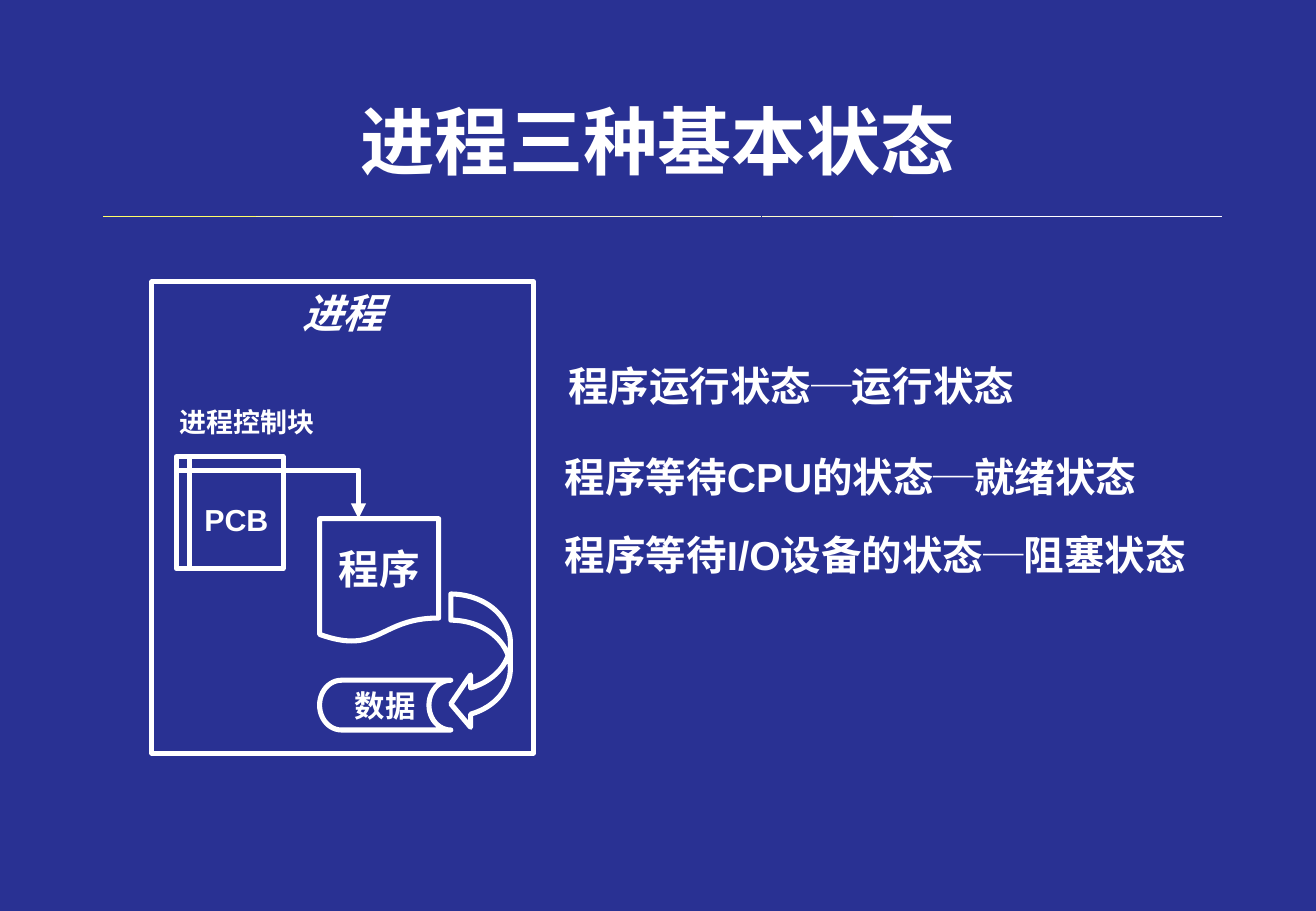
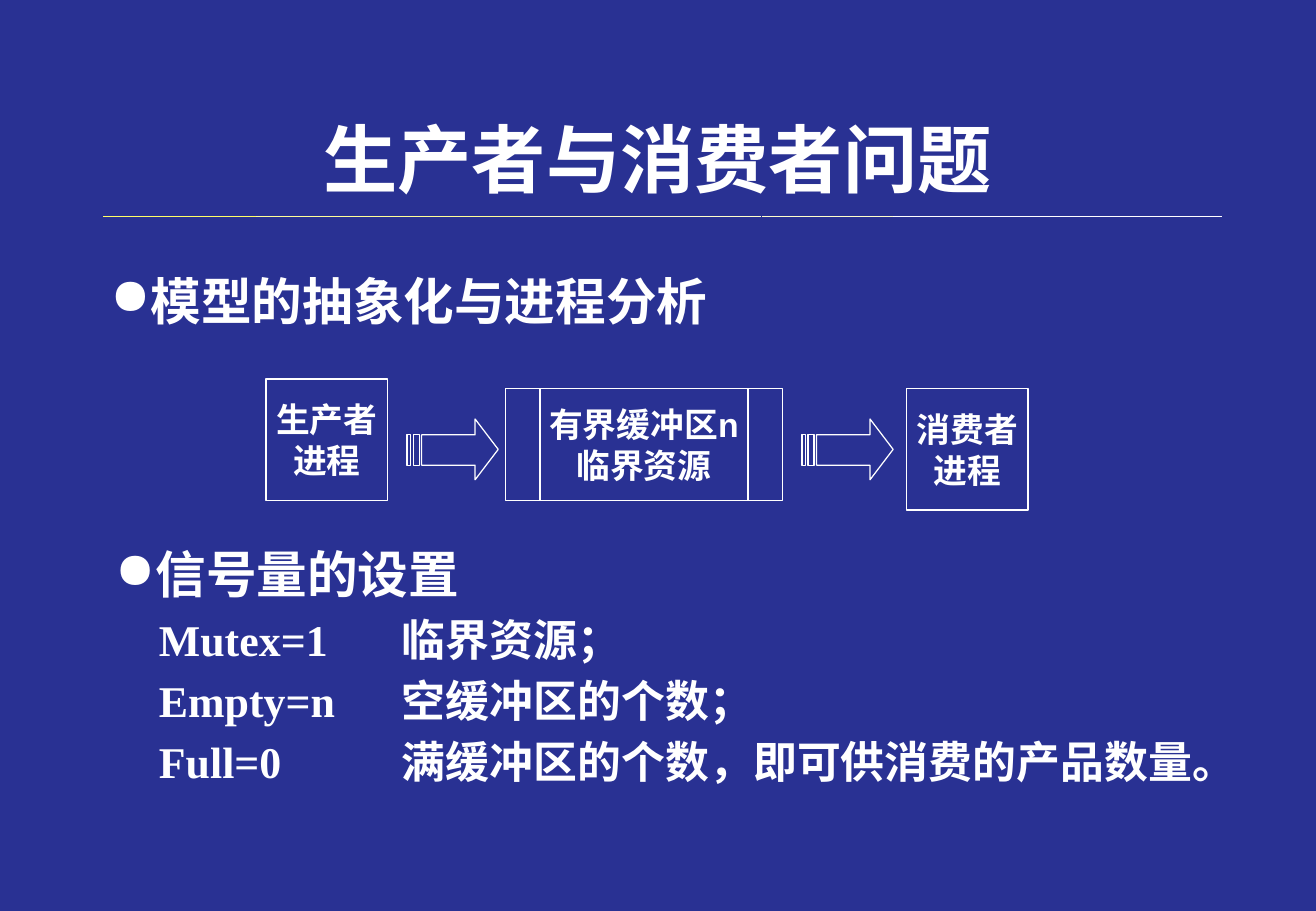
from pptx import Presentation
from pptx.dml.color import RGBColor
from pptx.enum.shapes import MSO_CONNECTOR, MSO_SHAPE
from pptx.enum.text import MSO_ANCHOR, PP_ALIGN
from pptx.oxml.ns import qn
from pptx.util import Inches, Pt
from lxml import etree

CENTER, LEFT = PP_ALIGN.CENTER, PP_ALIGN.LEFT
TOP, MIDDLE = MSO_ANCHOR.TOP, MSO_ANCHOR.MIDDLE
STRAIGHT = MSO_CONNECTOR.STRAIGHT
RECTANGLE = MSO_SHAPE.RECTANGLE
DOCUMENT = MSO_SHAPE.FLOWCHART_DOCUMENT
INTERNAL_STORAGE = MSO_SHAPE.FLOWCHART_INTERNAL_STORAGE
STORED_DATA = MSO_SHAPE.FLOWCHART_STORED_DATA
PREDEFINED_PROCESS = MSO_SHAPE.FLOWCHART_PREDEFINED_PROCESS
CURVED_ARROW = MSO_SHAPE.CURVED_LEFT_ARROW

BACKGROUND, WHITE = "293193", "FFFFFF"
CREAM, PALE_YELLOW, YELLOW = "FFFFCC", "FFFF99", "FFFF66"
BODY_FONT, TITLE_FONT, SERIF_FONT = "Arial", "Noto Sans CJK SC", "Times New Roman"
THIN, THICK = 0.75, 3

# Title rule: start, end and colour of each segment, from right to left
RULE_Y = 1.78
RULE_SEGMENTS = (
    [(9.52, 10.06, WHITE), (8.43, 9.52, WHITE), (7.35, 8.43, WHITE)]
    + [(start, start + 1.08, CREAM) for start in (6.27, 5.18, 4.1)]
    + [(start, start + 0.9, PALE_YELLOW) for start in (3.38, 2.84, 2.29, 1.75)]
    + [(1.21, 2.11, YELLOW), (0.85, 1.57, YELLOW)]
)


def color(hex_string):
    return RGBColor.from_string(hex_string)


def set_outline(shape, width):
    shape.shadow.inherit = False
    shape.fill.background()
    shape.line.color.rgb = color(WHITE)
    shape.line.width = Pt(width)


def add_bullet(paragraph):
    properties = paragraph._p.get_or_add_pPr()
    properties.set("marL", "0")
    properties.set("indent", "0")
    bullet_color = etree.SubElement(properties, qn("a:buClr"))
    etree.SubElement(bullet_color, qn("a:srgbClr"), val=WHITE)
    etree.SubElement(properties, qn("a:buChar"), char="●")


def add_tabs(paragraph, positions):
    tab_list = etree.SubElement(paragraph._p.get_or_add_pPr(), qn("a:tabLst"))
    for position in positions:
        etree.SubElement(tab_list, qn("a:tab"), pos=str(Inches(position)), algn="l")


def write_line(paragraph, text, size, font=BODY_FONT, align=LEFT, italic=None):
    paragraph.alignment = align
    run = paragraph.add_run()
    run.text = text
    run.font.name = font
    run.font.size = Pt(size)
    run.font.bold = True
    run.font.italic = italic
    run.font.color.rgb = color(WHITE)


def write_lines(frame, lines, size, font=BODY_FONT, align=LEFT, italic=None,
                spacing=None, before=0):
    for index, text in enumerate(lines):
        paragraph = frame.add_paragraph() if index else frame.paragraphs[0]
        if spacing:
            paragraph.line_spacing = spacing
        if index and before:
            paragraph.space_before = Pt(before)
        write_line(paragraph, text, size, font, align, italic)


def add_text_frame(slide, left, top, width, height, anchor=TOP):
    box = slide.shapes.add_textbox(Inches(left), Inches(top), Inches(width), Inches(height))
    frame = box.text_frame
    frame.word_wrap = True
    frame.vertical_anchor = anchor
    return frame


def add_outlined_shape(slide, kind, left, top, width, height, line_width,
                       lines=(), size=20, anchor=MIDDLE, italic=None):
    shape = slide.shapes.add_shape(
        kind, Inches(left), Inches(top), Inches(width), Inches(height))
    set_outline(shape, line_width)
    frame = shape.text_frame
    frame.word_wrap = False
    frame.vertical_anchor = anchor
    write_lines(frame, lines, size, align=CENTER, italic=italic)
    return shape


def add_outline(slide, contours, line_width, close=True):
    contours = [[(Inches(x), Inches(y)) for x, y in points] for points in contours]
    builder = slide.shapes.build_freeform(*contours[0][0], scale=1.0)
    for index, points in enumerate(contours):
        if index:
            builder.move_to(*points[0])
        builder.add_line_segments(points[1:], close=close)
    shape = builder.convert_to_shape()
    set_outline(shape, line_width)
    return shape


def add_striped_arrow(slide, left, top):
    def bar(start, end):
        return [(left + start, top + 0.13), (left + start, top + 0.38),
                (left + end, top + 0.38), (left + end, top + 0.13)]

    neck = left + 0.56
    start_top, start_bottom, end_bottom, end_top = bar(0.12, 0.56)
    arrow = [(neck, top), end_top, start_top, start_bottom, end_bottom,
             (neck, top + 0.5), (left + 0.75, top + 0.25)]
    add_outline(slide, [arrow, bar(0.05, 0.1), bar(0, 0.03)], THIN)


def add_base_slide(presentation, title, title_top, title_height):
    slide = presentation.slides.add_slide(presentation.slide_layouts[6])
    for start, end, segment_color in RULE_SEGMENTS:
        segment = slide.shapes.add_connector(
            STRAIGHT, Inches(start), Inches(RULE_Y), Inches(end), Inches(RULE_Y))
        segment.line.color.rgb = color(segment_color)
        segment.line.width = Pt(THIN)
        etree.SubElement(segment._element.spPr, qn("a:effectLst"))
    frame = add_text_frame(slide, 0.81, title_top, 9.21, title_height, MIDDLE)
    write_lines(frame, [title], 44, TITLE_FONT, CENTER)
    return slide


def build_states_slide(presentation):
    slide = add_base_slide(presentation, "进程三种基本状态", 0.6, 1.1)

    # Parts of a process
    add_outlined_shape(slide, DOCUMENT, 2.63, 4.27, 0.98, 1.02, THICK, ["程序"], 24)
    label = add_text_frame(slide, 1.35, 3.34, 1.37, 0.27)
    label.margin_left = label.margin_right = label.margin_top = label.margin_bottom = 0
    write_lines(label, ["进程控制块"], 16, align=CENTER)
    add_outlined_shape(slide, INTERNAL_STORAGE, 1.45, 3.76, 0.88, 0.92, THICK, ["PCB"], 18)
    add_outlined_shape(slide, STORED_DATA, 2.63, 5.6, 1.08, 0.41, THICK, ["数据"], 18)

    # Arrows from control block to program to data
    elbow = add_outline(slide, [[(2.14, 3.87), (2.95, 3.87), (2.95, 4.27)]], THICK, False)
    etree.SubElement(elbow.line._get_or_add_ln(), qn("a:tailEnd"), type="triangle")
    curve = add_outlined_shape(slide, CURVED_ARROW, 3.71, 4.89, 0.49, 1.12, THICK)
    for index, value in enumerate((0.44, 0.88, 0.333)):
        curve.adjustments[index] = value

    # Process frame
    add_outlined_shape(slide, RECTANGLE, 1.25, 2.32, 3.14, 3.88, THICK,
                       ["进程"], 24, TOP, True)

    # The three states
    running = add_text_frame(slide, 4.58, 2.72, 4.47, 1.5)
    write_lines(running, ["程序运行状态─运行状态"], 24, spacing=1.5)
    waiting = add_text_frame(slide, 4.55, 3.59, 5.56, 1.26)
    write_lines(waiting, ["程序等待CPU的状态─就绪状态", "程序等待I/O设备的状态─阻塞状态"],
                24, spacing=1.2, before=12)


def build_producer_slide(presentation):
    slide = add_base_slide(presentation, "生产者与消费者问题", 0.67, 1.25)

    # Model
    model = add_text_frame(slide, 0.81, 2.17, 9.21, 0.7)
    add_bullet(model.paragraphs[0])
    write_lines(model, ["模型的抽象化与进程分析"], 30)
    add_outlined_shape(slide, RECTANGLE, 2.19, 3.12, 1, 1, THIN, ["生产者", "进程"])
    add_outlined_shape(slide, PREDEFINED_PROCESS, 4.16, 3.2, 2.28, 0.92, THIN,
                       ["有界缓冲区n", "临界资源"])
    add_outlined_shape(slide, RECTANGLE, 7.46, 3.2, 1, 1, THIN, ["消费者", "进程"])
    for left in (3.35, 6.6):
        add_striped_arrow(slide, left, 3.45)

    # Semaphores
    semaphores = add_text_frame(slide, 0.85, 4.42, 9.53, 2.16)
    add_bullet(semaphores.paragraphs[0])
    write_lines(semaphores, ["信号量的设置"], 30, SERIF_FONT)
    for name, meaning in (("Mutex=1", "临界资源；"),
                          ("Empty=n", "空缓冲区的个数；"),
                          ("Full=0", "满缓冲区的个数，即可供消费的产品数量。")):
        paragraph = semaphores.add_paragraph()
        add_tabs(paragraph, (0.36, 2.36))
        paragraph.space_before = Pt(5.2)
        write_line(paragraph, f"\t{name}\t{meaning}", 26, SERIF_FONT)


def main():
    presentation = Presentation()
    presentation.slide_width = Inches(10.83)
    presentation.slide_height = Inches(7.5)
    background = presentation.slide_master.background.fill
    background.solid()
    background.fore_color.rgb = color(BACKGROUND)
    build_states_slide(presentation)
    build_producer_slide(presentation)
    presentation.save("out.pptx")


if __name__ == "__main__":
    main()
